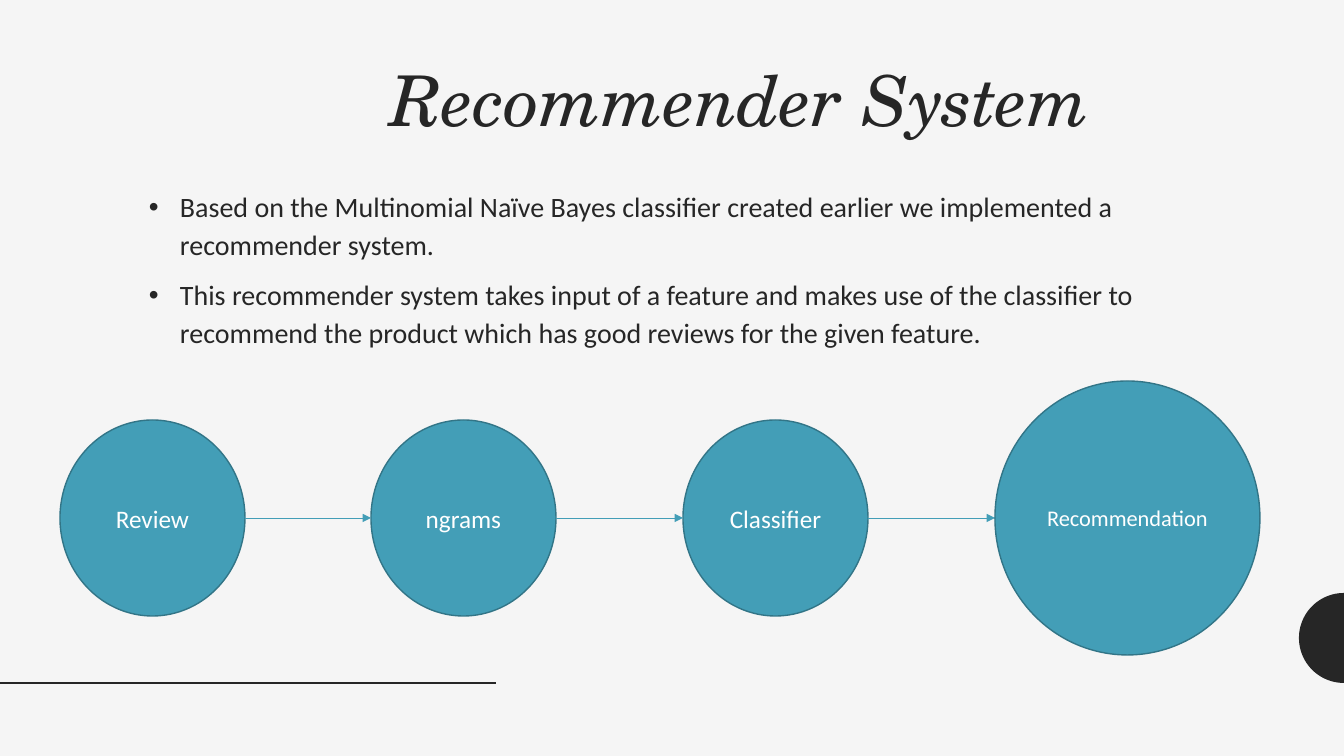
import math
from dataclasses import dataclass

import lxml.etree
import pptx
import pptx.dml.color
import pptx.enum.shapes
import pptx.enum.text
import pptx.oxml.ns
import pptx.util

ALIGN = pptx.enum.text.PP_ALIGN
ANCHOR = pptx.enum.text.MSO_ANCHOR
SHAPE = pptx.enum.shapes.MSO_SHAPE
qn = pptx.oxml.ns.qn


@dataclass(frozen=True)
class Theme:
    background: str = "F5F5F5"
    ink: str = "262626"
    accent: str = "439EB7"
    outline: str = "327587"
    white: str = "FFFFFF"
    title_font: str = "TeX Gyre Schola"
    body_font: str = "Calibri"
    title_size: int = 50
    body_size: int = 20
    step_size: int = 18
    result_size: int = 16


def px(n):
    return pptx.util.Emu(round(n * 914400 / 100.8))


def rgb(color):
    return pptx.dml.color.RGBColor.from_string(color)


class Canvas:
    def __init__(self, slide, theme):
        self.slide = slide
        self.theme = theme
        fill = slide.background.fill
        fill.solid()
        fill.fore_color.rgb = rgb(theme.background)

    def format_runs(self, p, size, color, font, italic=False):
        for r in p.runs:
            r.font.size = pptx.util.Pt(size)
            r.font.color.rgb = rgb(color)
            r.font.name = font
            r.font.italic = italic

    def text_box(self, x, y, w, h, text):
        tf = self.slide.shapes.add_textbox(px(x), px(y), px(w), px(h)).text_frame
        tf.word_wrap = True
        tf.vertical_anchor = ANCHOR.TOP
        tf.text = text
        return tf

    def title(self, x, y, w, h, text):
        t = self.theme
        p = self.text_box(x, y, w, h, text).paragraphs[0]
        p.alignment = ALIGN.RIGHT
        p.line_spacing = 0.9
        self.format_runs(p, t.title_size, t.ink, t.title_font, True)

    def bullets(self, x, y, w, h, items):
        t = self.theme
        indent = px(31)
        for p in self.text_box(x, y, w, h, "\n".join(items)).paragraphs:
            p.line_spacing = 1.12
            p.space_before = pptx.util.Pt(9)
            pPr = p._p.get_or_add_pPr()
            pPr.set("marL", str(indent))
            pPr.set("indent", str(-indent))
            lxml.etree.SubElement(pPr, qn("a:buFont"), typeface="Arial")
            lxml.etree.SubElement(pPr, qn("a:buChar"), char="•")
            self.format_runs(p, t.body_size, t.ink, t.body_font)

    def circle(self, x, y, w, h, text, size):
        t = self.theme
        sp = self.slide.shapes.add_shape(SHAPE.OVAL, px(x), px(y), px(w), px(h))
        sp.shadow.inherit = False
        sp.fill.solid()
        sp.fill.fore_color.rgb = rgb(t.accent)
        sp.line.color.rgb = rgb(t.outline)
        sp.line.width = pptx.util.Pt(1)
        tf = sp.text_frame
        tf.vertical_anchor = ANCHOR.MIDDLE
        tf.text = text
        p = tf.paragraphs[0]
        p.alignment = ALIGN.CENTER
        self.format_runs(p, size, t.white, t.body_font)

    def line(self, x1, x2, y, color, width, arrow=False):
        cxn = self.slide.shapes.add_connector(
            pptx.enum.shapes.MSO_CONNECTOR.STRAIGHT, px(x1), px(y), px(x2), px(y))
        cxn.line.color.rgb = rgb(color)
        cxn.line.width = pptx.util.Pt(width)
        if arrow:
            lxml.etree.SubElement(cxn.line._get_or_add_ln(), qn("a:tailEnd"), type="triangle")
        lxml.etree.SubElement(cxn._element.spPr, qn("a:effectLst"))

    def half_disc(self, cx, cy, radius, steps=48):
        angles = [math.pi * (0.5 + i / steps) for i in range(steps + 1)]
        points = [(px(cx + radius * math.cos(a)), px(cy + radius * math.sin(a)))
                  for a in angles]
        builder = self.slide.shapes.build_freeform(*points[0])
        builder.add_line_segments(points[1:], close=True)
        sp = builder.convert_to_shape()
        sp.shadow.inherit = False
        sp.fill.solid()
        sp.fill.fore_color.rgb = rgb(self.theme.ink)
        sp.line.fill.background()


def main():
    prs = pptx.Presentation()
    prs.slide_width, prs.slide_height = px(1344), px(756)
    theme = Theme()
    canvas = Canvas(prs.slides.add_slide(prs.slide_layouts[6]), theme)

    canvas.half_disc(1344, 638, 45)
    canvas.line(0, 496, 683, theme.ink, 2)
    canvas.title(84, 61, 1016, 120, "Recommender System")
    canvas.bullets(139, 181, 1121, 204, [
        "Based on the Multinomial Naïve Bayes classifier created earlier "
        "we implemented a recommender system.",
        "This recommender system takes input of a feature and makes use of the "
        "classifier to recommend the product which has good reviews for the given feature.",
    ])

    middle = 518
    steps = [
        ("Review", 185, 196, theme.step_size),
        ("ngrams", 185, 196, theme.step_size),
        ("Classifier", 185, 196, theme.step_size),
        ("Recommendation", 265, 274, theme.result_size),
    ]
    lefts = [60 + i * 935 // 3 for i in range(len(steps))]
    for x, (text, w, h, size) in zip(lefts, steps):
        canvas.circle(x, middle - h // 2, w, h, text, size)
    for x, following, step in zip(lefts, lefts[1:], steps):
        canvas.line(x + step[1], following, middle, theme.accent, 0.5, arrow=True)

    prs.save("out.pptx")


if __name__ == "__main__":
    main()
